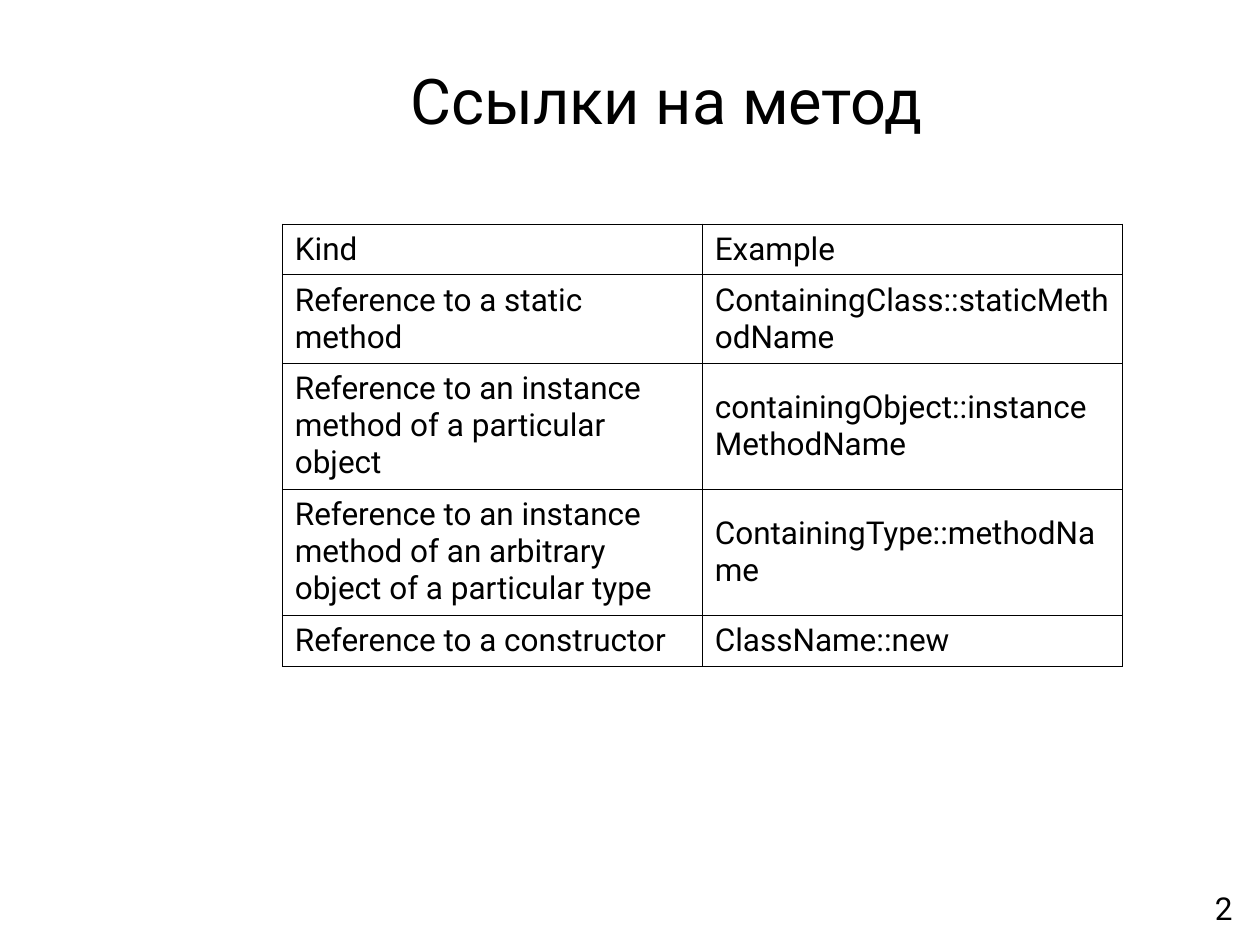
import pptx
import pptx.util
import pptx.dml.color
import pptx.enum.text
import pptx.oxml

Pt = pptx.util.Pt
PP_ALIGN = pptx.enum.text.PP_ALIGN
ANCHOR = pptx.enum.text.MSO_ANCHOR
COLORS = {"text": "000000", "border": "000000", "bg": "FFFFFF"}
FONT = "Roboto"
NS = "http://schemas.openxmlformats.org/drawingml/2006/main"


def add_text(tf, text, size, align=PP_ALIGN.LEFT):
    p = tf.paragraphs[0]
    p.alignment = align
    r = p.add_run()
    r.text = text
    r.font.size = Pt(size)
    r.font.name = FONT
    r.font.color.rgb = pptx.dml.color.RGBColor.from_string(COLORS["text"])


def add_borders(cell, width):
    tcPr = cell._tc.get_or_add_tcPr()
    for i, side in enumerate("LRTB"):
        tcPr.insert(i, pptx.oxml.parse_xml(
            f'<a:ln{side} xmlns:a="{NS}" w="{Pt(width)}"><a:solidFill>'
            f'<a:srgbClr val="{COLORS["border"]}"/></a:solidFill></a:ln{side}>'))


prs = pptx.Presentation()
prs.slide_width, prs.slide_height = Pt(720), Pt(540)
s = prs.slides.add_slide(prs.slide_layouts[5])
s.background.fill.solid()
s.background.fill.fore_color.rgb = pptx.dml.color.RGBColor.from_string(COLORS["bg"])

# Title
sp = s.shapes.title
sp.left, sp.top, sp.width, sp.height = Pt(227.5), Pt(31.7), Pt(314), Pt(50.4)
tf = sp.text_frame
tf.word_wrap = False
tf.auto_size = pptx.enum.text.MSO_AUTO_SIZE.SHAPE_TO_FIT_TEXT
tf.vertical_anchor = ANCHOR.TOP
add_text(tf, "Ссылки на метод", 36)

# Table of method reference kinds
rows = [
    (29, "Kind", "Example"),
    (50, "Reference to a static method", "ContainingClass::staticMethodName"),
    (72, "Reference to an instance method of a particular object",
     "containingObject::instanceMethodName"),
    (72, "Reference to an instance method of an arbitrary object of a particular type",
     "ContainingType::methodName"),
    (29, "Reference to a constructor", "ClassName::new"),
]
table = s.shapes.add_table(len(rows), 2, Pt(161.3), Pt(128), Pt(480), Pt(252)).table
table.first_row = False
table.horz_banding = False
for i, (height, *texts) in enumerate(rows):
    table.rows[i].height = Pt(height)
    for j, text in enumerate(texts):
        cell = table.cell(i, j)
        cell.fill.background()
        cell.vertical_anchor = ANCHOR.MIDDLE
        add_borders(cell, 0.45)
        add_text(cell.text_frame, text, 18)

# Page number
sp = s.shapes.add_textbox(Pt(543.6), Pt(504.7), Pt(167.8), Pt(37.4))
sp.text_frame.word_wrap = True
add_text(sp.text_frame, "2", 18, PP_ALIGN.RIGHT)

prs.save("out.pptx")
